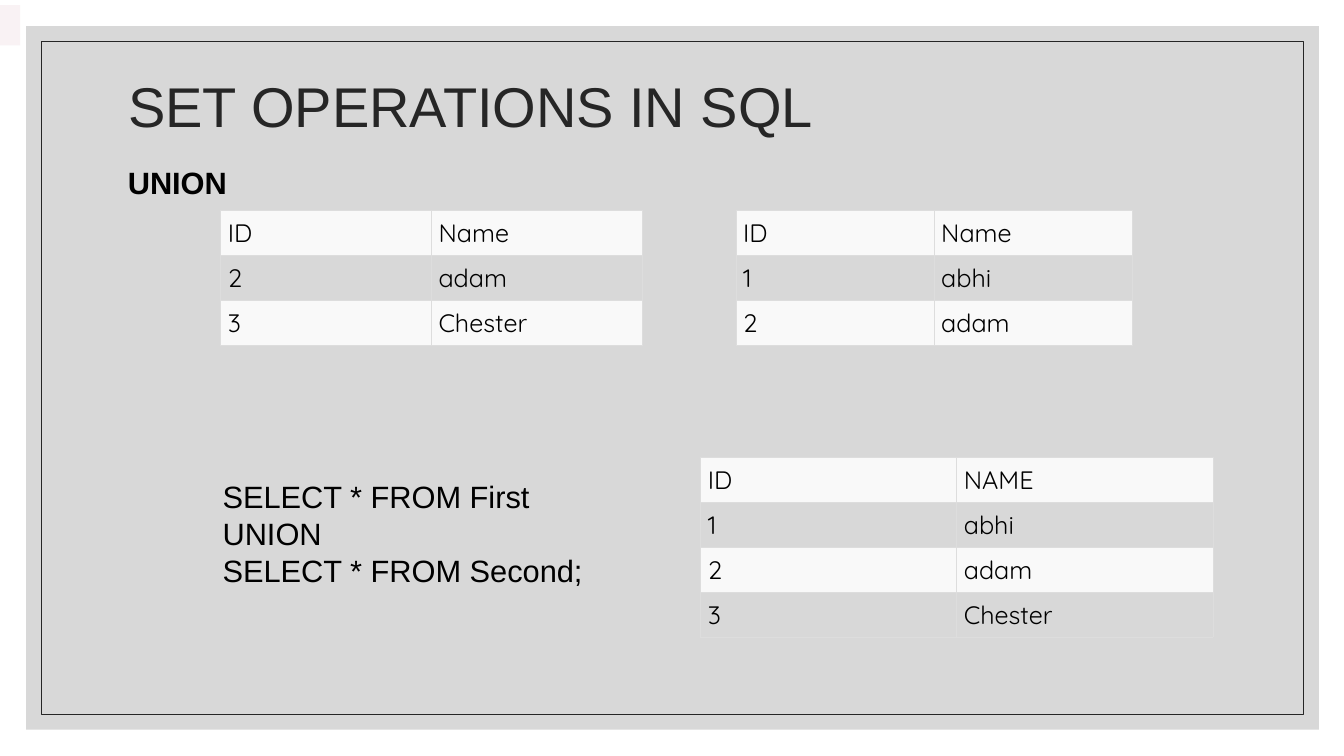
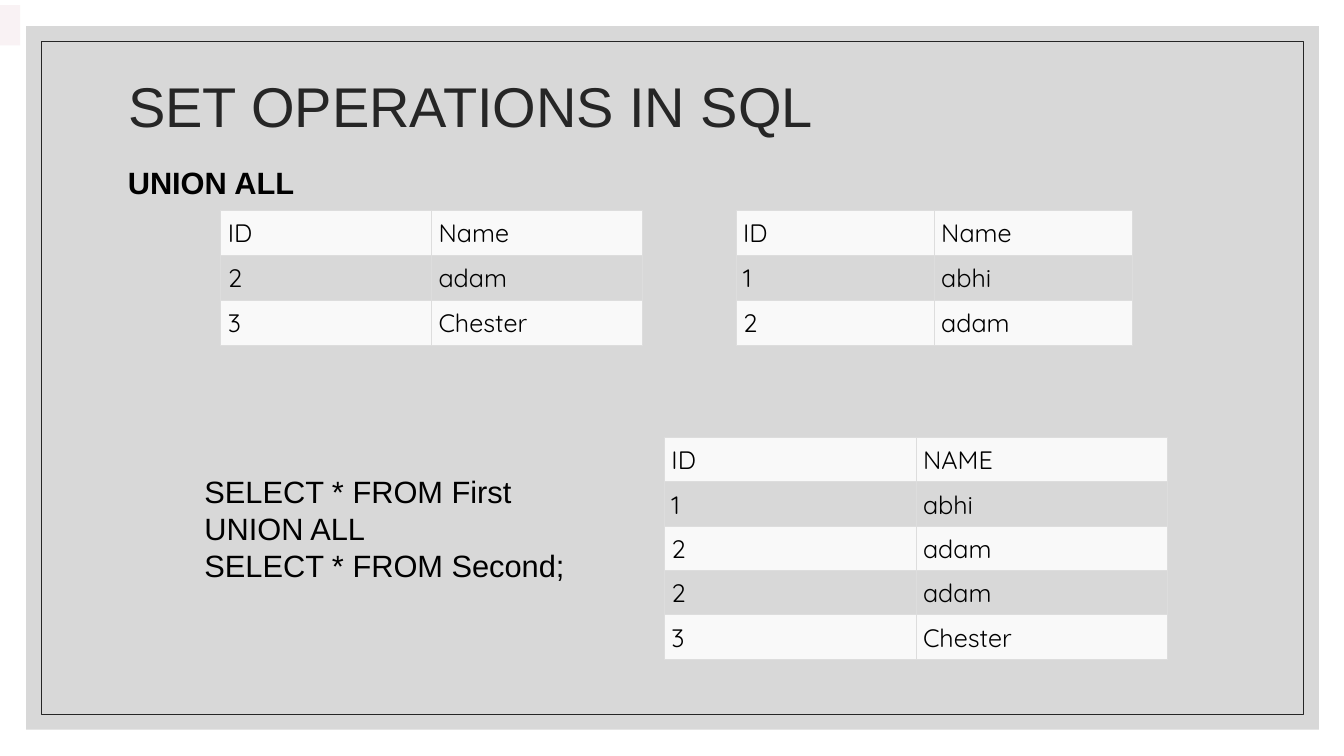
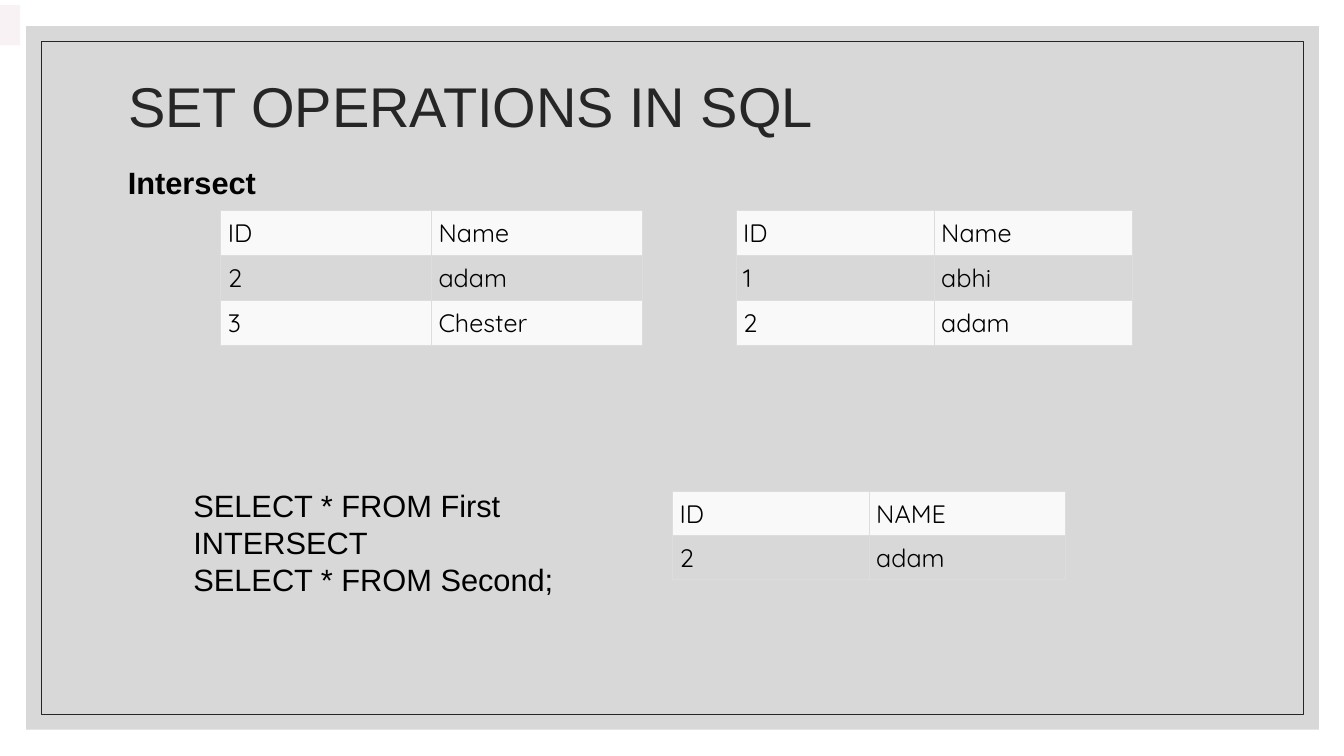
from lxml import etree
from pptx import Presentation
from pptx.dml.color import RGBColor
from pptx.enum import shapes, text
from pptx.oxml import ns
from pptx.util import Inches, Pt

HUES = {
    "panel": "BFBFBF", "frame": "262626", "title": "262626", "text": "000000",
    "tab": "F9F2F4", "band": "F9F9F9", "rule": "DDDDDD",
}
HEAD = "SET OPERATIONS IN SQL"
PLAIN = "{2D5ABB26-0587-4C30-8999-92F81FD0307C}"  # table style without grid

# Boxes: left, top, width, height
LEFT = (2.19, 2.09, 4.18, 1.34)
RIGHT = (7.3, 2.09, 3.93, 1.34)
FIRST = [("ID", "Name"), ("2", "adam"), ("3", "Chester")]
SECOND = [("ID", "Name"), ("1", "abhi"), ("2", "adam")]

# Heading, operator, query corner, result box, result rows
PAGES = [
    ("UNION", "UNION", (2.11, 4.69), (6.95, 4.54, 5.08, 1.78),
     [("1", "abhi"), ("2", "adam"), ("3", "Chester")]),
    ("UNION ALL", "UNION ALL", (1.93, 4.64), (6.59, 4.34, 4.99, 2.17),
     [("1", "abhi"), ("2", "adam"), ("2", "adam"), ("3", "Chester")]),
    ("Intersect", "INTERSECT", (1.82, 4.78), (6.67, 4.87, 3.9, 0.87),
     [("2", "adam")]),
]


def hue(name):
    return RGBColor.from_string(HUES[name])


def inch(box):
    return [Inches(n) for n in box]


def style(frame, size, color="text", font="Arial", bold=False):
    for para in frame.paragraphs:
        for run in para.runs:
            run.font.name = font
            run.font.size = Pt(size)
            run.font.bold = bold
            run.font.color.rgb = hue(color)


def rect(slide, box, fill=None, line=None):
    shape = slide.shapes.add_shape(shapes.MSO_SHAPE.RECTANGLE, *inch(box))
    shape.shadow.inherit = False
    if fill:
        shape.fill.solid()
        shape.fill.fore_color.rgb = hue(fill)
    else:
        shape.fill.background()
    if line:
        shape.line.color.rgb = hue(line)
        shape.line.width = Pt(0.5)
    else:
        shape.line.fill.background()
    return shape


def backdrop(slide):
    """Draw the panel and frame, then hand them to the slide's layout."""
    panel = rect(slide, (0.26, 0.26, 12.82, 6.98), fill="panel")
    color = panel.element.find(".//" + ns.qn("a:srgbClr"))
    etree.SubElement(color, ns.qn("a:alpha"), val="60000")
    frame = rect(slide, (0.41, 0.41, 12.52, 6.68), line="frame")
    tree = slide.slide_layout.shapes.element
    for spot, shape in enumerate((panel, frame), 2):
        tree.insert(spot, shape.element)


def title(slide, box):
    head = slide.shapes.title
    head.left, head.top, head.width, head.height = inch(box)
    frame = head.text_frame
    frame.text = HEAD
    frame.word_wrap = True
    frame.auto_size = text.MSO_AUTO_SIZE.NONE
    frame.vertical_anchor = text.MSO_ANCHOR.MIDDLE
    para = frame.paragraphs[0]
    para.alignment = text.PP_ALIGN.LEFT
    para.line_spacing = 0.9
    style(frame, 40, "title")


def words(slide, box, copy, bold=False):
    frame = slide.shapes.add_textbox(*inch(box)).text_frame
    frame.word_wrap = True
    frame.text = copy
    style(frame, 22, bold=bold)
    return frame


def border(cell):
    props = cell._tc.get_or_add_tcPr()
    for spot, side in enumerate(("lnL", "lnR", "lnT", "lnB")):
        line = etree.Element(ns.qn("a:" + side), w=str(Pt(0.6)))
        fill = etree.SubElement(line, ns.qn("a:solidFill"))
        etree.SubElement(fill, ns.qn("a:srgbClr"), val=HUES["rule"])
        props.insert(spot, line)


def grid(slide, box, rows):
    """Banded table with equal columns and rows that fill the box."""
    count, cols = len(rows), len(rows[0])
    table = slide.shapes.add_table(count, cols, *inch(box)).table
    table.first_row = table.horz_banding = False
    table._tbl.find(".//" + ns.qn("a:tableStyleId")).text = PLAIN
    for y, row in enumerate(rows):
        table.rows[y].height = Inches(box[3] / count)
        for x, value in enumerate(row):
            cell = table.cell(y, x)
            cell.text = value
            cell.margin_left = cell.margin_right = Inches(0.07)
            cell.margin_top = cell.margin_bottom = Inches(0.07)
            style(cell.text_frame, 18, font="Quicksand")
            if y % 2:
                cell.fill.background()
            else:
                cell.fill.solid()
                cell.fill.fore_color.rgb = hue("band")
            border(cell)


def page(slide, name, verb, spot, box, rows):
    title(slide, (1.17, 0.7, 11, 0.77))
    para = words(slide, (1.17, 1.54, 11, 0.5), name, bold=True).paragraphs[0]
    para.line_spacing = 1.1
    para.space_before = Pt(9)
    rect(slide, (0, 0.05, 0.2, 0.4), fill="tab")
    # Source tables
    grid(slide, RIGHT, SECOND)
    grid(slide, LEFT, FIRST)
    # Query and its result
    query = f"SELECT * FROM First\n{verb}\nSELECT * FROM Second;"
    words(slide, (*spot, 3.9, 1.58), query)
    grid(slide, box, [("ID", "NAME"), *rows])


def main():
    deck = Presentation()
    deck.slide_width, deck.slide_height = Inches(13.33), Inches(7.5)
    layout = deck.slide_layouts[5]
    for n, parts in enumerate(PAGES):
        slide = deck.slides.add_slide(layout)
        if n == 0:
            backdrop(slide)
        page(slide, *parts)
    deck.save("out.pptx")


if __name__ == "__main__":
    main()
